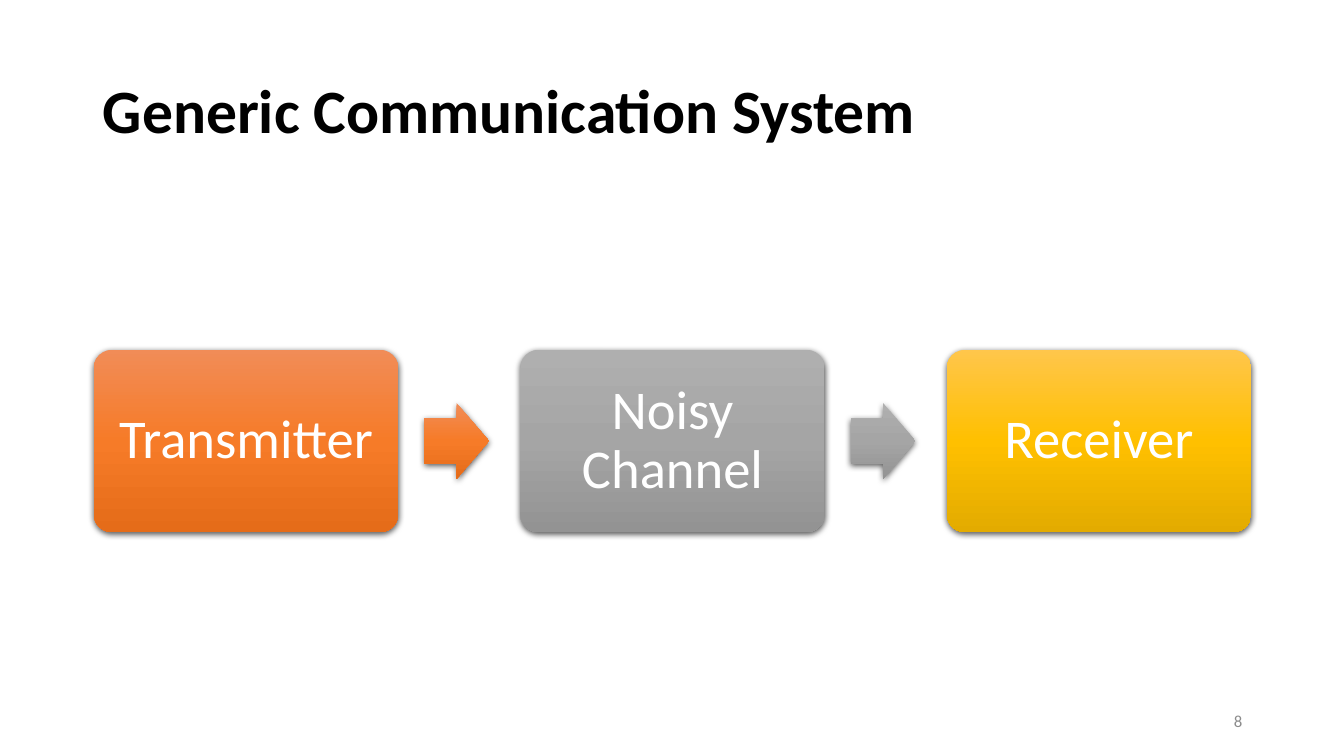
from copy import deepcopy
from dataclasses import dataclass

from lxml.etree import SubElement
from pptx import Presentation
from pptx.dml.color import RGBColor
from pptx.enum.shapes import MSO_SHAPE as Preset
from pptx.enum.text import MSO_ANCHOR as Anchor, MSO_AUTO_SIZE as AutoSize, PP_ALIGN as Align
from pptx.oxml.ns import qn
from pptx.shapes.autoshape import Shape
from pptx.slide import Slide
from pptx.util import Inches, Pt

COLORS = {
    "title": "000000",
    "label": "FFFFFF",
    "number": "8C8C8C",
    "shadow": "000000",
}
GRADIENTS = {
    "orange": ("F18C57", "F67B28", "E56C19"),
    "gray": ("AFAFAF", "A5A5A5", "939393"),
    "gold": ("FFC64B", "FFC000", "E3AB00"),
}
FONT = "Calibri"

STAGE_LEFT, STAGE_TOP, STAGE_PITCH = 0.93, 3.47, 4.23
STAGE_WIDTH, STAGE_HEIGHT = 3.02, 1.81
ARROW_OFFSET, ARROW_WIDTH, ARROW_HEIGHT = 3.28, 0.64, 0.75
ARROW_TOP = STAGE_TOP + (STAGE_HEIGHT - ARROW_HEIGHT) / 2


@dataclass(frozen=True)
class Stage:
    label: str
    gradient: str


STAGES = (
    Stage("Transmitter", "orange"),
    Stage("Noisy Channel", "gray"),
    Stage("Receiver", "gold"),
)


def write_text(shape: Shape, text: str, *, size: float, color: str,
               align: Align = Align.LEFT, bold: bool = False,
               spacing: float = 1.0, inset: tuple[float, float] = (0.1, 0.05)) -> None:
    frame = shape.text_frame
    frame.word_wrap = True
    frame.auto_size = AutoSize.NONE
    frame.vertical_anchor = Anchor.MIDDLE
    frame.margin_left = frame.margin_right = Inches(inset[0])
    frame.margin_top = frame.margin_bottom = Inches(inset[1])
    paragraph = frame.paragraphs[0]
    paragraph.alignment = align
    paragraph.line_spacing = spacing
    run = paragraph.add_run()
    run.text = text
    run.font.name = FONT
    run.font.size = Pt(size)
    run.font.bold = bold
    run.font.color.rgb = RGBColor.from_string(COLORS[color])


def fill_with_gradient(shape: Shape, colors: tuple[str, ...]) -> None:
    """Shade the shape from top to bottom through evenly spaced colours."""
    shape.fill.gradient()
    shape.fill.gradient_angle = 270
    stop_list = shape.element.spPr.find(f".//{qn('a:gsLst')}")
    while len(stop_list) < len(colors):
        stop_list.append(deepcopy(stop_list[0]))
    for index, (stop, color) in enumerate(zip(shape.fill.gradient_stops, colors)):
        stop.position = index / (len(colors) - 1)
        stop.color.rgb = RGBColor.from_string(color)


def add_shadow(shape: Shape) -> None:
    """Cast a soft shadow straight down."""
    shape.shadow.inherit = False
    effects = shape.element.spPr.find(qn("a:effectLst"))
    shadow = SubElement(effects, qn("a:outerShdw"), blurRad=str(Pt(4.5)),
                        dist=str(Pt(1.5)), dir="5400000", algn="ctr", rotWithShape="0")
    color = SubElement(shadow, qn("a:srgbClr"), val=COLORS["shadow"])
    SubElement(color, qn("a:alpha"), val="63000")


def add_block(slide: Slide, preset: Preset, left: float, top: float, width: float,
              height: float, gradient: str, adjustments: tuple[float, ...]) -> Shape:
    block = slide.shapes.add_shape(preset, Inches(left), Inches(top),
                                   Inches(width), Inches(height))
    for index, value in enumerate(adjustments):
        block.adjustments[index] = value
    fill_with_gradient(block, GRADIENTS[gradient])
    block.line.fill.background()
    add_shadow(block)
    return block


def add_title(slide: Slide, text: str) -> None:
    title = slide.shapes.title
    title.left, title.top = Inches(0.92), Inches(0.4)
    title.width, title.height = Inches(11.5), Inches(1.45)
    write_text(title, text, size=44, color="title", bold=True, spacing=0.9)


def add_stages(slide: Slide) -> None:
    for index, stage in enumerate(STAGES):
        left = STAGE_LEFT + index * STAGE_PITCH
        box = add_block(slide, Preset.ROUNDED_RECTANGLE, left, STAGE_TOP,
                        STAGE_WIDTH, STAGE_HEIGHT, stage.gradient, (0.1,))
        write_text(box, stage.label, size=39, color="label", align=Align.CENTER,
                   spacing=0.9, inset=(0.15, 0.15))
        if index < len(STAGES) - 1:
            add_block(slide, Preset.RIGHT_ARROW, left + ARROW_OFFSET, ARROW_TOP,
                      ARROW_WIDTH, ARROW_HEIGHT, stage.gradient, (0.6, 0.5))


def add_slide_number(slide: Slide, number: str) -> None:
    box = slide.shapes.add_textbox(Inches(9.42), Inches(6.95), Inches(3), Inches(0.4))
    write_text(box, number, size=12, color="number", align=Align.RIGHT)


def main() -> None:
    presentation = Presentation()
    presentation.slide_width, presentation.slide_height = Inches(13.33), Inches(7.5)
    slide = presentation.slides.add_slide(presentation.slide_layouts.get_by_name("Title Only"))
    add_title(slide, "Generic Communication System")
    add_stages(slide)
    add_slide_number(slide, "8")
    presentation.save("out.pptx")


if __name__ == "__main__":
    main()
